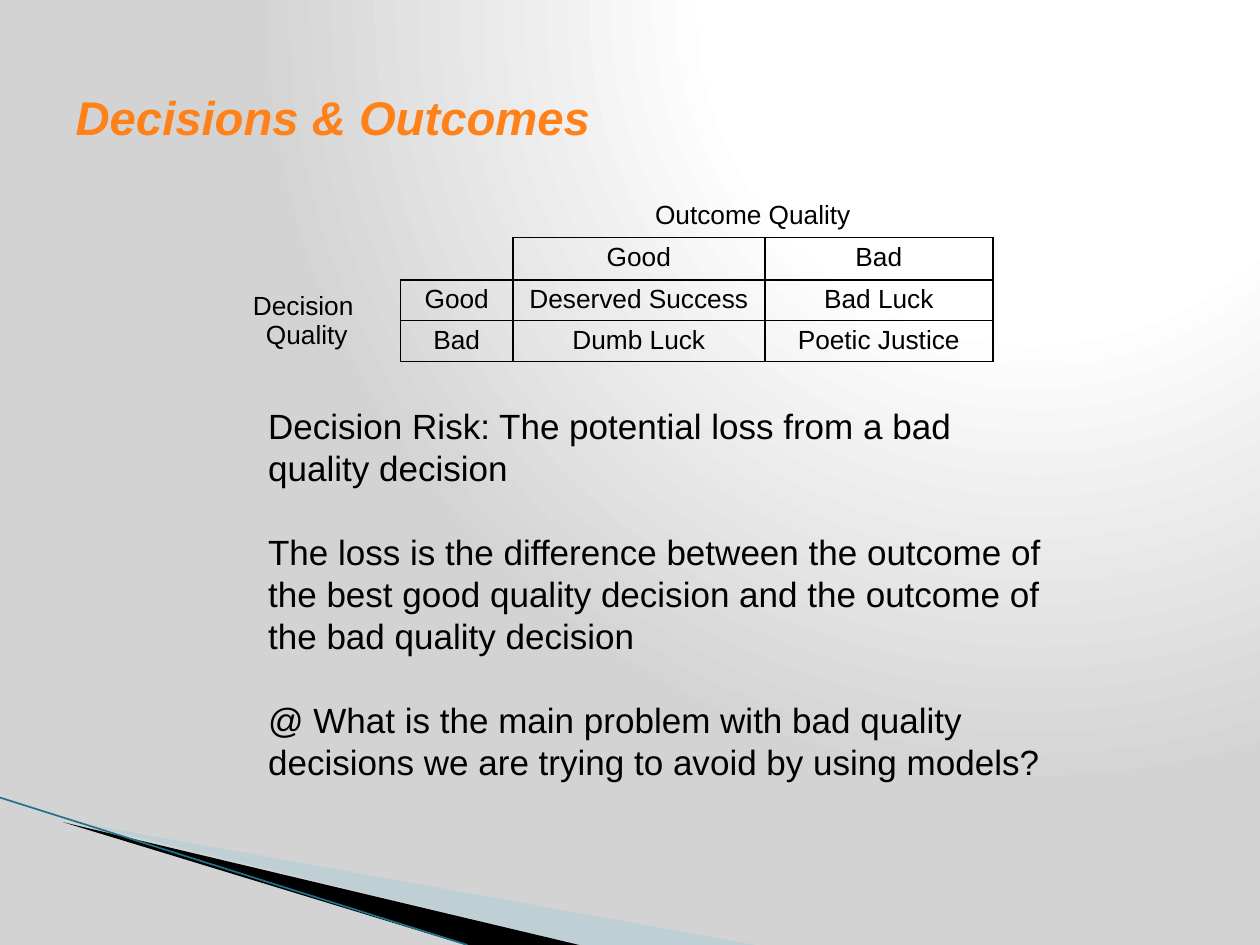
"""Build the Decisions & Outcomes slide."""
from lxml import etree
from pptx import Presentation
from pptx import util as u
from pptx.dml.color import RGBColor
from pptx.enum import shapes, text
from pptx.oxml import parse_xml
from pptx.oxml.ns import nsdecls, qn

HEX = {"title": "FF8119", "ink": "000000", "pale": "A0CBDC",
       "edge": "1F7388", "white": "FFFFFF", "gray": "D3D3D3"}

deck = Presentation()
deck.slide_width, deck.slide_height = u.Inches(10), u.Inches(7.5)
wide, high = deck.slide_width / 100, deck.slide_height / 100


def area(x, y, w, h):
    return [round(n) for n in (x * wide, y * high, w * wide, h * high)]


def style(para, size, tone="ink", bold=False):
    for run in para.runs:
        font = run.font
        font.name, font.size = "Arial", u.Pt(size)
        font.bold = font.italic = bold
        font.color.rgb = RGBColor.from_string(HEX[tone])


slide = deck.slides.add_slide(deck.slide_layouts[5])

fill = slide.background.fill
fill.gradient()
stops = "".join(
    f'<a:gs pos="{pos}000"><a:srgbClr val="{HEX[tone]}"/></a:gs>'
    for pos, tone in [(0, "white"), (40, "white"), (100, "gray")])
grad = parse_xml(
    f'<a:gradFill {nsdecls("a")} rotWithShape="1"><a:gsLst>{stops}</a:gsLst>'
    '<a:path path="circle"><a:fillToRect l="65000" b="98000"/></a:path></a:gradFill>')
old = next(slide.background._cSld.iter(qn("a:gradFill")))
old.getparent().replace(old, grad)

wedges = [("pale", [(5.5, 86.8), (59.5, 100), (45.6, 100), (5.5, 86.67)]),
          ("ink", [(5.3, 86.53), (45.7, 100), (37.2, 100), (5.4, 86.67)])]
for tone, points in wedges:
    path = slide.shapes.build_freeform(*points[0], scale=(wide, high))
    path.add_line_segments(points[1:], close=True)
    wedge = path.convert_to_shape()
    wedge.shadow.inherit = False
    wedge.line.fill.background()
    wedge.fill.solid()
    wedge.fill.fore_color.rgb = RGBColor.from_string(HEX[tone])
    if tone == "pale":
        color = next(wedge.fill._xPr.iter(qn("a:srgbClr")))
        etree.SubElement(color, qn("a:alpha"), val="40000")

edge = slide.shapes.add_connector(
    shapes.MSO_CONNECTOR.STRAIGHT, *area(0, 84.4, 37.1, 100))
edge.line.color.rgb = RGBColor.from_string(HEX["edge"])
edge.line.width = u.Pt(0.95)
etree.SubElement(edge._element.spPr, qn("a:effectLst"))

title = slide.shapes.title
title.left, title.top, title.width, title.height = area(5, 4, 90, 16.67)
title.text_frame.text = "Decisions & Outcomes"
title.text_frame.vertical_anchor = text.MSO_ANCHOR.MIDDLE
title.text_frame.paragraphs[0].alignment = text.PP_ALIGN.LEFT
style(title.text_frame.paragraphs[0], 27, "title", True)

rows = [["", "", "Outcome Quality", ""],
        ["", "", "Good", "Bad"],
        ["Decision \vQuality", "Good", "Deserved Success", "Bad Luck"],
        ["", "Bad", "Dumb Luck", "Poetic Justice"]]
boxed = {(r, c) for r in (1, 2, 3) for c in (1, 2, 3)} - {(1, 1)}
sides = {"L": (0, -1), "R": (0, 1), "T": (-1, 0), "B": (1, 0)}

grid = slide.shapes.add_table(4, 4, *area(16.9, 20.67, 61.9, 17.33)).table
grid.first_row = grid.horz_banding = False
for col, share in zip(grid.columns, (14.9, 8.9, 20, 18.1)):
    col.width = round(share * wide)
for r, row in enumerate(rows):
    grid.rows[r].height = round(4.33 * high)
    for c, label in enumerate(row):
        cell = grid.cell(r, c)
        cell.margin_left = cell.margin_right = u.Inches(0.07)
        cell.margin_top = cell.margin_bottom = u.Inches(0.04)
        cell.text_frame.text = label
        para = cell.text_frame.paragraphs[0]
        para.alignment = text.PP_ALIGN.CENTER
        para.font.size = u.Pt(15)
        style(para, 15)
        props = cell._tc.get_or_add_tcPr()
        for side, (down, over) in sides.items():
            line = etree.SubElement(props, qn(f"a:ln{side}"), w="12700")
            if boxed & {(r, c), (r + down, c + over)}:
                solid = etree.SubElement(line, qn("a:solidFill"))
                etree.SubElement(solid, qn("a:srgbClr"), val=HEX["ink"])
            else:
                etree.SubElement(line, qn("a:noFill"))
        cell.fill.background()
grid.cell(0, 2).merge(grid.cell(0, 3))
grid.cell(2, 0).merge(grid.cell(3, 0))
grid.cell(2, 0).vertical_anchor = text.MSO_ANCHOR.MIDDLE

notes = [
    "Decision Risk: The potential loss from a bad quality decision",
    "The loss is the difference between the outcome of the best good quality "
    "decision and the outcome of the bad quality decision",
    "@ What is the main problem with bad quality decisions we are trying to "
    "avoid by using models?"]
frame = slide.shapes.add_textbox(*area(20.3, 42.13, 64.4, 41.73)).text_frame
frame.word_wrap = True
frame.text = "\n".join(notes)
for para in frame.paragraphs:
    para.line_spacing = para.space_after = u.Pt(24)
    style(para, 20)

deck.save("out.pptx")
